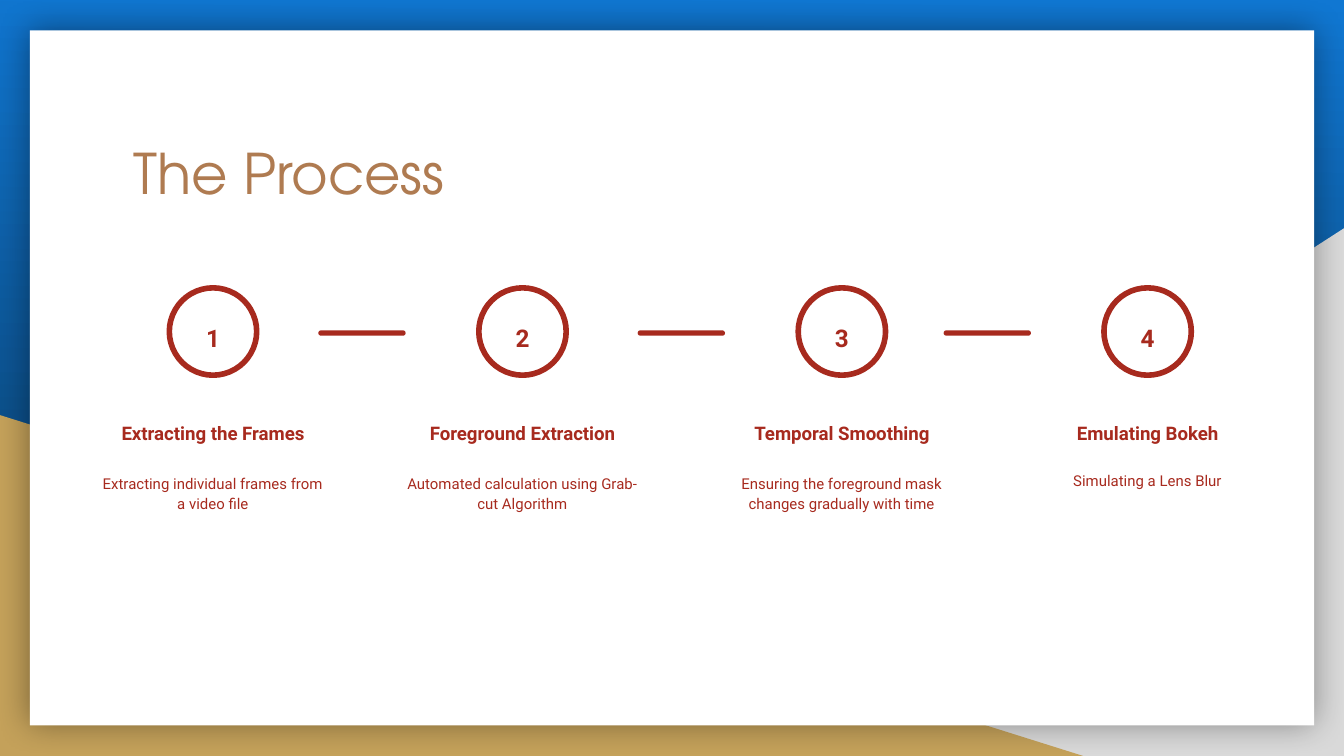
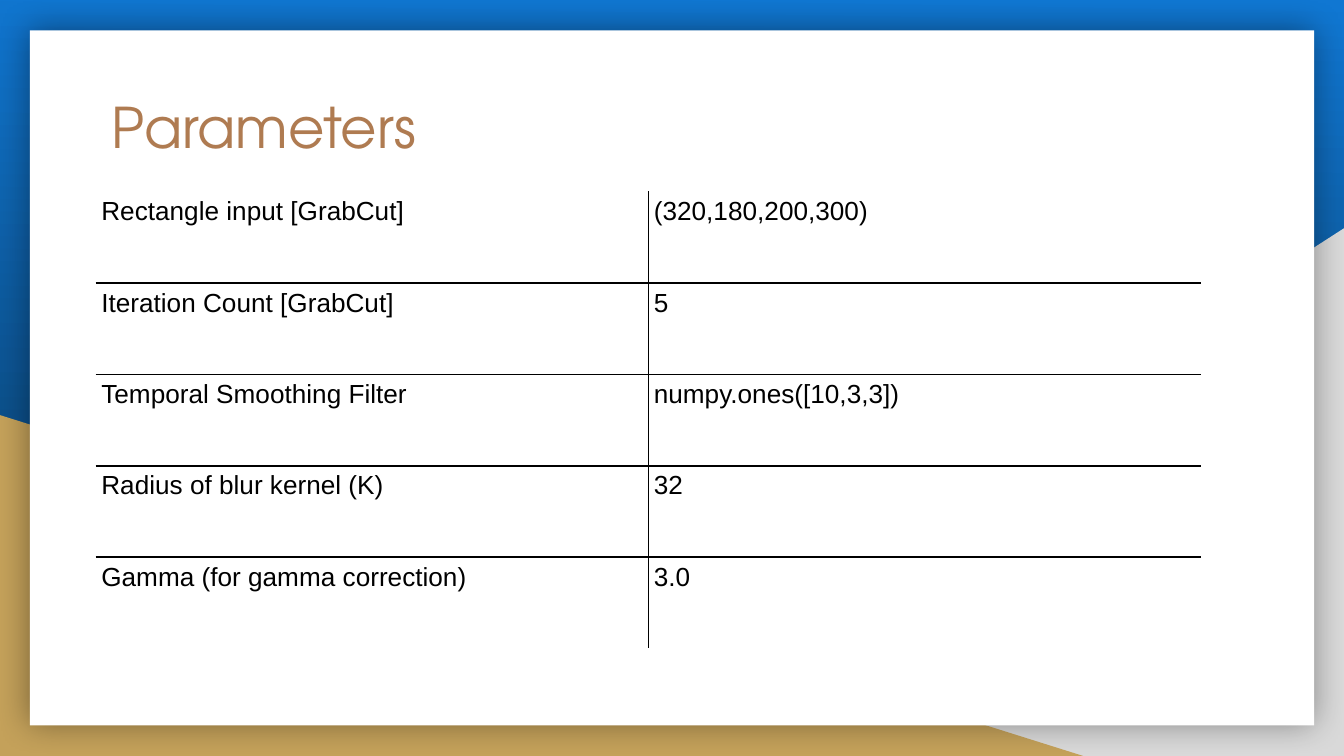
from dataclasses import dataclass

from lxml import etree
from pptx import Presentation
from pptx.dml.color import RGBColor
from pptx.enum import shapes, text
from pptx.oxml import ns
from pptx.util import Pt

SHAPE = shapes.MSO_SHAPE
CENTER = text.PP_ALIGN.CENTER
TOP, BOTTOM = text.MSO_ANCHOR.TOP, text.MSO_ANCHOR.BOTTOM


@dataclass(frozen=True)
class Theme:
    sky: str = "1077D2"
    navy: str = "093153"
    grey: str = "D9D9D9"
    gold: str = "C4A15A"
    white: str = "FFFFFF"
    black: str = "000000"
    bronze: str = "AF7B51"
    red: str = "A72A1E"
    title_font: str = "TeX Gyre Adventor"
    body_font: str = "Roboto"
    table_font: str = "Arial"
    title_size: float = 30
    number_size: float = 13
    heading_size: float = 10
    detail_size: float = 8
    table_size: float = 14


def rgb(color):
    return RGBColor.from_string(color)


def sub(parent, tag, **attrs):
    """Append a DrawingML child element."""
    return etree.SubElement(parent, ns.qn(f"a:{tag}"), attrs)


def set_all(target, values):
    for name, value in values.items():
        setattr(target, name, value)


class Deck:
    def __init__(self, prs, theme):
        self.prs, self.theme = prs, theme
        self.slide = self.target = None

    def new_slide(self, title, box):
        """Start a slide with the shared backdrop and its title."""
        t = self.theme
        self.slide = self.prs.slides.add_slide(self.prs.slide_layouts[6])
        self.target = self.slide.shapes
        fill = self.slide.background.fill
        fill.gradient()
        fill.gradient_angle = 269
        for stop, color in zip(fill.gradient_stops, (t.sky, t.navy)):
            stop.color.rgb = rgb(color)

        right_corner = self.shape(SHAPE.RIGHT_TRIANGLE, (282.2, 122.3, 437.8, 282.7), t.grey)
        right_corner.element.spPr.find(ns.qn("a:xfrm")).set("flipH", "1")
        self.shape(SHAPE.RIGHT_TRIANGLE, (0, 222.4, 580.3, 182.6), t.gold)
        card = self.shape(SHAPE.RECTANGLE, (16, 16.2, 688, 372.4), t.white)
        self.glow(card)
        self.text(title, box, t.title_size, t.bronze, t.title_font)

    def group(self):
        """Send the next elements into a new group."""
        self.target = self.slide.shapes.add_group_shape().shapes

    def ungroup(self):
        self.target = self.slide.shapes

    def shape(self, kind, box, fill=None, line=None, width=3):
        s = self.target.add_shape(kind, *map(Pt, box))
        s.shadow.inherit = False
        if fill:
            s.fill.solid()
            s.fill.fore_color.rgb = rgb(fill)
        else:
            s.fill.background()
        if line:
            s.line.color.rgb = rgb(line)
            s.line.width = Pt(width)
        else:
            s.line.fill.background()
        return s

    def glow(self, s):
        """Give a shape a soft dark edge on all sides."""
        effects = s.element.spPr.find(ns.qn("a:effectLst"))
        shadow = sub(effects, "outerShdw", blurRad=str(Pt(18)), dist="0",
                     algn="ctr", rotWithShape="0")
        color = sub(shadow, "srgbClr", val=self.theme.black)
        sub(color, "alpha", val="40000")

    def run(self, p, words, size, color, font, bold=False):
        r = p.add_run()
        r.text = words
        set_all(r.font, {"size": Pt(size), "name": font, "bold": bold})
        r.font.color.rgb = rgb(color)

    def text(self, words, box, size, color, font, bold=False, anchor=TOP, **paragraph):
        tf = self.target.add_textbox(*map(Pt, box)).text_frame
        margins = {f"margin_{side}": Pt(7.2) for side in ("left", "top", "right", "bottom")}
        set_all(tf, {"word_wrap": True, "vertical_anchor": anchor, **margins})
        p = tf.paragraphs[0]
        set_all(p, paragraph)
        self.run(p, words, size, color, font, bold)

    def step(self, number, center, heading, detail):
        """Draw a numbered ring with a heading and a detail below it."""
        t = self.theme
        para = {"alignment": CENTER, "line_spacing": 1.15}
        spaced = {**para, "space_after": Pt(16)}

        def centered(top, width, height):
            return center - width / 2, top, width, height

        self.group()
        self.shape(SHAPE.OVAL, centered(154.2, 46.8, 46.8), line=t.red)
        self.text(str(number), centered(163.4, 34.6, 25.2), t.number_size, t.red,
                  t.body_font, True, **spaced)
        self.text(heading, centered(209.5, 134.6, 35.3), t.heading_size, t.red,
                  t.body_font, True, BOTTOM, **para)
        self.text(detail, centered(245.5, 138, 58.3), t.detail_size, t.red,
                  t.body_font, **spaced)
        self.ungroup()

    def dash(self, left):
        s = self.shape(SHAPE.ROUNDED_RECTANGLE, (left, 177, 46.8, 2.9), self.theme.red)
        s.adjustments[0] = 0.5

    def borders(self, cell, inner):
        """Rule the sides inside the grid in black, the outer ones in white."""
        tc_pr = cell._tc.get_or_add_tcPr()
        for i, side in enumerate("LRTB"):
            width, color = (1, self.theme.black) if inner[side] else (0.5, self.theme.white)
            ln = sub(tc_pr, f"ln{side}", w=str(Pt(width)))
            sub(sub(ln, "solidFill"), "srgbClr", val=color)
            tc_pr.insert(i, ln)

    def table(self, rows, box):
        t = self.theme
        n_rows, n_cols = len(rows), len(rows[0])
        table = self.target.add_table(n_rows, n_cols, *map(Pt, box)).table
        set_all(table, {"first_row": False, "horz_banding": False})
        for i, row in enumerate(rows):
            for j, words in enumerate(row):
                cell = table.cell(i, j)
                cell.fill.background()
                set_all(cell, {f"margin_{side}": Pt(2.9)
                               for side in ("left", "top", "right", "bottom")})
                self.run(cell.text_frame.paragraphs[0], words, t.table_size,
                         t.black, t.table_font)
                self.borders(cell, {"L": j > 0, "R": j < n_cols - 1,
                                    "T": i > 0, "B": i < n_rows - 1})


STEPS = [
    (114.1, "Extracting the Frames", "Extracting individual frames from a video file"),
    (279.9, "Foreground Extraction", "Automated calculation using Grab-cut Algorithm"),
    (451, "Temporal Smoothing", "Ensuring the foreground mask changes gradually with time"),
    (614.8, "Emulating Bokeh", "Simulating a Lens Blur"),
]
DASHES = [170.5, 341.6, 505.5]
PARAMETERS = [
    ("Rectangle input [GrabCut]", "(320,180,200,300)"),
    ("Iteration Count [GrabCut]", "5"),
    ("Temporal Smoothing Filter", "numpy.ones([10,3,3])"),
    ("Radius of blur kernel (K)", "32"),
    ("Gamma (for gamma correction)", "3.0"),
]


def main():
    prs = Presentation()
    set_all(prs, {"slide_width": Pt(720), "slide_height": Pt(405)})
    deck = Deck(prs, Theme())

    deck.new_slide("The Process", (64.5, 67, 591, 75))
    for number, (center, heading, detail) in enumerate(STEPS, 1):
        deck.step(number, center, heading, detail)
    for left in DASHES:
        deck.dash(left)

    deck.new_slide("Parameters", (52.8, 42.6, 591, 53.3))
    deck.table(PARAMETERS, (51.4, 102.6, 592, 245))

    prs.save("out.pptx")


if __name__ == "__main__":
    main()
